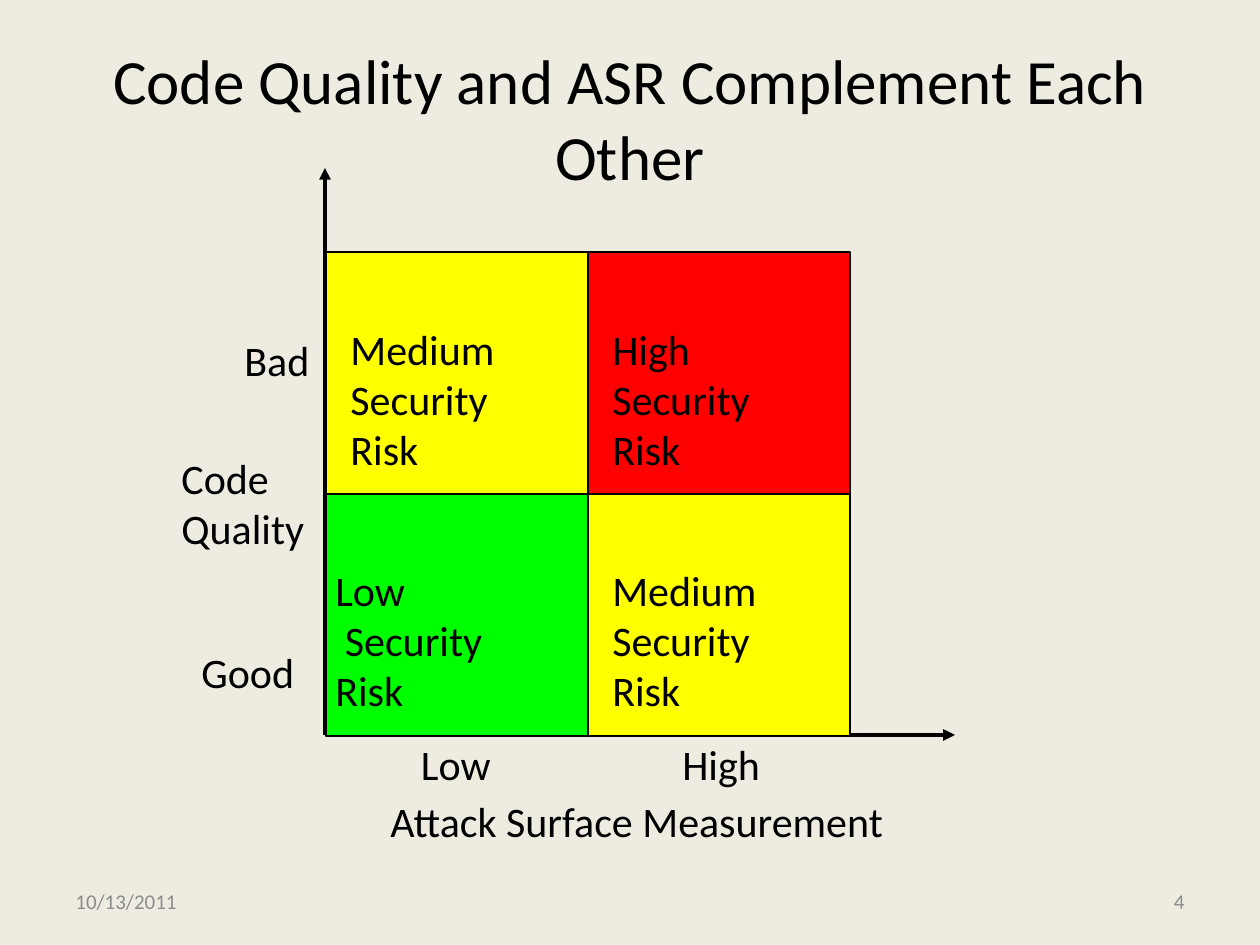
import pptx
import pptx.dml.color
import pptx.enum.shapes
import pptx.enum.text
import pptx.oxml.ns
import pptx.util
from dataclasses import dataclass
from lxml import etree

SCALE = 914400 / 126  # EMU in one px
ALIGN = pptx.enum.text.PP_ALIGN
ANCHOR = pptx.enum.text.MSO_ANCHOR


@dataclass(frozen=True)
class Theme:
    font: str = "Calibri"
    paper: str = "EEECE1"
    ink: str = "000000"
    muted: str = "8C8C8C"
    low: str = "00FF00"
    medium: str = "FFFF00"
    high: str = "FF0000"
    title: int = 36
    body: int = 24
    footer: int = 12
    axis: float = 2.25
    border: float = 1.5


@dataclass(frozen=True)
class Label:
    text: str
    left: int
    top: int
    width: int
    height: int = 63
    size: int = Theme.body
    color: str = Theme.ink
    align: ALIGN = ALIGN.LEFT
    anchor: ANCHOR = ANCHOR.TOP
    wrap: bool = False


@dataclass(frozen=True)
class Cell:
    col: int
    row: int
    color: str


@dataclass(frozen=True)
class Axis:
    left: int
    top: int
    right: int
    bottom: int


THEME = Theme()

# Risk grid
LEFT, TOP, WIDE, HIGH = 326, 252, 262, 242
BASE = TOP + 2 * HIGH - 1

AXES = [
    Axis(LEFT, BASE, 955, BASE),
    Axis(LEFT - 1, BASE, LEFT - 1, 168),
]
CELLS = [
    Cell(0, 0, THEME.medium),
    Cell(1, 0, THEME.high),
    Cell(1, 1, THEME.medium),
    Cell(0, 1, THEME.low),
]
LABELS = [
    # Title
    Label("Code Quality and ASR Complement Each Other", 63, 38, 1134, 158,
          THEME.title, align=ALIGN.CENTER, anchor=ANCHOR.MIDDLE, wrap=True),
    # Axis names and marks
    Label("Attack Surface Measurement", 378, 789, 523),
    Label(" Low", 399, 732, 105),
    Label("High", 670, 732, 103),
    Label(" Good", 189, 590, 127),
    Label("Bad", 232, 328, 91),
    Label("Code\nQuality", 169, 446, 149, 113),
    # Risk levels
    Label("Medium\nSecurity Risk", 338, 317, 239, 113),
    Label("Medium\nSecurity Risk", 600, 558, 239, 113),
    Label("High\nSecurity Risk", 600, 317, 239, 113),
    Label("Low\n Security Risk", 323, 558, 249, 113),
    # Footer
    Label("4", 903, 876, 294, 50, THEME.footer, THEME.muted,
          ALIGN.RIGHT, ANCHOR.MIDDLE, True),
    Label("10/13/2011", 63, 876, 294, 50, THEME.footer, THEME.muted,
          anchor=ANCHOR.MIDDLE, wrap=True),
]


def emu(*px: int) -> list[int]:
    return [round(n * SCALE) for n in px]


def rgb(code: str) -> pptx.dml.color.RGBColor:
    return pptx.dml.color.RGBColor.from_string(code)


def stroke(line, width: float) -> None:
    line.color.rgb = rgb(THEME.ink)
    line.width = pptx.util.Pt(width)


def draw_axis(slide, axis: Axis) -> None:
    shape = slide.shapes.add_connector(
        pptx.enum.shapes.MSO_CONNECTOR.STRAIGHT,
        *emu(axis.left, axis.top, axis.right, axis.bottom))
    stroke(shape.line, THEME.axis)
    name = pptx.oxml.ns.qn
    etree.SubElement(shape.line._get_or_add_ln(), name("a:tailEnd"),
                     type="triangle")
    etree.SubElement(shape._element.spPr, name("a:effectLst"))


def draw_cell(slide, cell: Cell) -> None:
    shape = slide.shapes.add_shape(
        pptx.enum.shapes.MSO_SHAPE.RECTANGLE,
        *emu(LEFT + cell.col * WIDE, TOP + cell.row * HIGH, WIDE, HIGH))
    shape.shadow.inherit = False
    shape.fill.solid()
    shape.fill.fore_color.rgb = rgb(cell.color)
    stroke(shape.line, THEME.border)


def draw_label(slide, label: Label) -> None:
    box = slide.shapes.add_textbox(
        *emu(label.left, label.top, label.width, label.height))
    frame = box.text_frame
    frame.word_wrap = label.wrap
    frame.vertical_anchor = label.anchor
    frame.text = label.text
    for para in frame.paragraphs:
        para.alignment = label.align
        para.font.name = THEME.font
        para.font.size = pptx.util.Pt(label.size)
        para.font.color.rgb = rgb(label.color)


def main() -> None:
    deck = pptx.Presentation()
    deck.slide_width, deck.slide_height = emu(1260, 945)
    slide = deck.slides.add_slide(deck.slide_layouts[6])
    slide.background.fill.solid()
    slide.background.fill.fore_color.rgb = rgb(THEME.paper)

    for axis in AXES:
        draw_axis(slide, axis)
    for cell in CELLS:
        draw_cell(slide, cell)
    for label in LABELS:
        draw_label(slide, label)
    deck.save("out.pptx")


if __name__ == "__main__":
    main()
